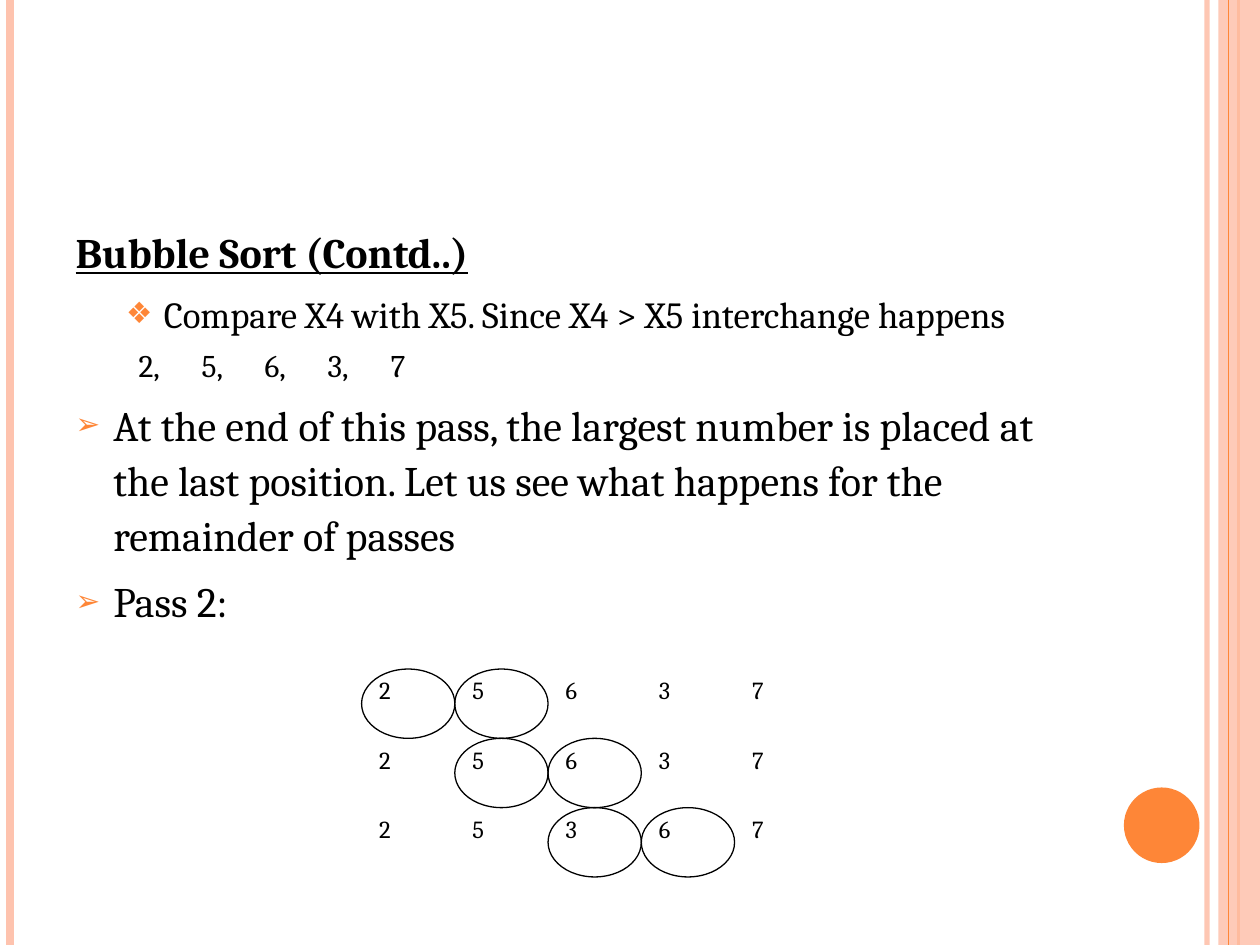
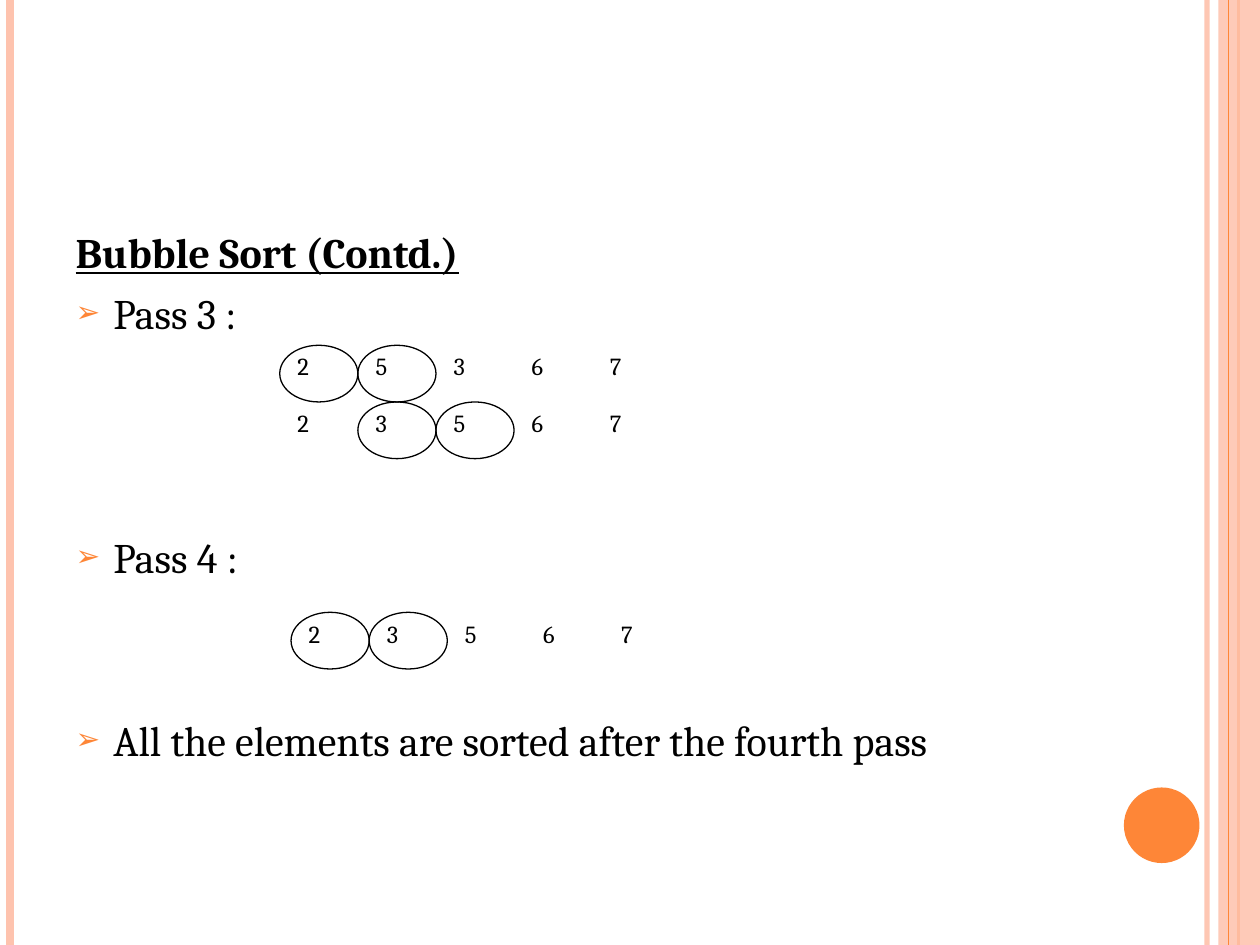
"""Build two slides that walk through the passes of a bubble sort."""
import dataclasses

import lxml.etree
import pptx
import pptx.dml.color
import pptx.enum.shapes
import pptx.enum.text
import pptx.oxml.ns
import pptx.util

Inches, Pt = pptx.util.Inches, pptx.util.Pt
SHAPES = pptx.enum.shapes.MSO_SHAPE


@dataclasses.dataclass(frozen=True)
class Theme:
    """Colours, type sizes and fonts of the deck."""
    ink: str = "000000"
    accent: str = "FE8637"
    pale: str = "FEC3AE"
    font: str = "Cambria"
    heading: int = 24
    cell: int = 14
    outline: float = 0.75


THEME = Theme()
WIDTH, HEIGHT = 10, 7.5
TITLE_BOX = (0.5, 1.75, 8.17, 0.48)
BODY_BOX = (0.5, 2.23, 8.17, 4.85)
CELL_INSET = 0.14

RULES = [
    (9.58, THEME.pale, 3, 93),
    (0.08, THEME.pale, 4.5, 100),
    (9.83, THEME.accent, 1.5, 100),
    (9.75, THEME.accent, 0.75, 100),
]
BAND = (SHAPES.RECTANGLE, (9.67, 0, 0.33, HEIGHT), THEME.pale, 87)
DISC = (SHAPES.OVAL, (8.92, 6.25, 0.6, 0.6), THEME.accent, 100)

STYLES = {
    "point": dict(level=0, size=24, before=6, margin=0.3, hanging=0.3, bullet="➢", bullet_size=70),
    "step": dict(level=1, size=21, before=4.2, margin=0.7, hanging=0.3, bullet="❖", bullet_size=80),
    "values": dict(level=2, size=18, before=3.6, margin=0, hanging=0,
                   tabs=(1.56, 2.05, 2.49, 2.92, 3.42)),
}

SLIDES = [
    {
        "title": "Bubble Sort (Contd..)",
        "line_spacing": 1.1,
        "body": [
            ("step", "Compare X4 with X5. Since X4 > X5 interchange happens", None),
            ("values", "\t2,\t5,\t6,\t3,\t7", None),
            ("point", "At the end of this pass, the largest number is placed at the last "
                      "position. Let us see what happens for the remainder of passes", None),
            ("point", "Pass 2:", None),
        ],
        "passes": [((2.87, 5.31), (0.74, 0.55), ["25637", "25637", "25367"])],
    },
    {
        "title": "Bubble Sort (Contd.)",
        "line_spacing": 1.0,
        "body": [
            ("point", "Pass 3 :", None),
            ("point", "Pass 4 :", 110.7),
            ("point", "All the elements are sorted after the fourth pass", 75.8),
        ],
        "passes": [
            ((2.22, 2.74), (0.62, 0.45), ["25367", "23567"]),
            ((2.31, 4.86), (0.62, 0.45), ["23567"]),
        ],
    },
]


def color(value):
    return pptx.dml.color.RGBColor.from_string(value)


def inches(values):
    return [Inches(value) for value in values]


def add_xml(parent, tag, **attributes):
    element = lxml.etree.SubElement(parent, pptx.oxml.ns.qn(tag))
    for name, value in attributes.items():
        element.set(name, str(value))
    return element


def set_opacity(shape, percent):
    if percent < 100:
        for fill_color in shape.element.spPr.iter(pptx.oxml.ns.qn("a:srgbClr")):
            add_xml(fill_color, "a:alpha", val=percent * 1000)


def format_font(paragraph, size, emphasis=False):
    for run in paragraph.runs:
        font = run.font
        font.name, font.size = THEME.font, Pt(size)
        font.bold = font.underline = emphasis
        font.color.rgb = color(THEME.ink)


def place(shape, box):
    shape.left, shape.top, shape.width, shape.height = inches(box)


def add_rule(slide, x, line_color, width, opacity):
    ends = inches((x, 0, x, HEIGHT))
    rule = slide.shapes.add_connector(pptx.enum.shapes.MSO_CONNECTOR.STRAIGHT, *ends)
    rule.line.color.rgb = color(line_color)
    rule.line.width = Pt(width)
    set_opacity(rule, opacity)
    add_xml(rule.element.spPr, "a:effectLst")
    return rule


def add_filled(slide, kind, box, fill_color, opacity):
    shape = slide.shapes.add_shape(kind, *inches(box))
    shape.shadow.inherit = False
    shape.fill.solid()
    shape.fill.fore_color.rgb = color(fill_color)
    shape.line.fill.background()
    set_opacity(shape, opacity)
    return shape


def decorate_layout(layout, slide):
    """Draw the side rules, band and disc, and hand them to the layout."""
    parts = [add_rule(slide, *rule) for rule in RULES]
    parts.insert(-1, add_filled(slide, *BAND))
    parts.append(add_filled(slide, *DISC))
    for number, part in enumerate(parts, 20):
        part.element.xpath(".//p:cNvPr")[0].set("id", str(number))
        layout.shapes.element.append(part.element)


def format_item(paragraph, style, before, line_spacing):
    paragraph.level = style["level"]
    paragraph.space_before = Pt(before or style["before"])
    paragraph.line_spacing = line_spacing
    format_font(paragraph, style["size"])
    properties = paragraph._p.get_or_add_pPr()
    properties.set("marL", str(Inches(style["margin"])))
    properties.set("indent", str(-Inches(style["hanging"])))
    if "bullet" in style:
        add_xml(add_xml(properties, "a:buClr"), "a:srgbClr", val=THEME.accent)
        add_xml(properties, "a:buSzPct", val=style["bullet_size"] * 1000)
        add_xml(properties, "a:buChar", char=style["bullet"])
    else:
        add_xml(properties, "a:buNone")
        tab_list = add_xml(properties, "a:tabLst")
        for position in style["tabs"]:
            add_xml(tab_list, "a:tab", pos=Inches(position), algn="l")


def fill_text(slide, content):
    title, body = slide.shapes.title.text_frame, slide.placeholders[1].text_frame
    for frame in (title, body):
        frame.auto_size = pptx.enum.text.MSO_AUTO_SIZE.NONE
        frame.vertical_anchor = pptx.enum.text.MSO_ANCHOR.TOP
    title.text = content["title"]
    title.paragraphs[0].alignment = pptx.enum.text.PP_ALIGN.LEFT
    format_font(title.paragraphs[0], THEME.heading, emphasis=True)
    body.text = "\n".join(text for _, text, _ in content["body"])
    for paragraph, (style, _, before) in zip(body.paragraphs, content["body"]):
        format_item(paragraph, STYLES[style], before, content["line_spacing"])


def add_number(group, box, text):
    frame = group.shapes.add_textbox(*inches(box)).text_frame
    frame.word_wrap = True
    frame.margin_left = Inches(CELL_INSET)
    frame.text = text
    format_font(frame.paragraphs[0], THEME.cell)


def add_circle(group, box):
    circle = group.shapes.add_shape(SHAPES.OVAL, *inches(box))
    circle.shadow.inherit = False
    circle.fill.background()
    circle.line.color.rgb = color(THEME.ink)
    circle.line.width = Pt(THEME.outline)


def add_pass(slide, origin, cell, rows):
    """Lay out the rows of one pass, circling the pair compared in each."""
    group = slide.shapes.add_group_shape()

    def cell_box(row, column):
        return (origin[0] + column * cell[0], origin[1] + row * cell[1], *cell)

    for row, digits in enumerate(rows):
        for column, digit in enumerate(digits):
            add_number(group, cell_box(row, column), digit)
    for row in range(len(rows)):
        for column in (row, row + 1):
            add_circle(group, cell_box(row, column))


def main():
    presentation = pptx.Presentation()
    presentation.slide_width, presentation.slide_height = Inches(WIDTH), Inches(HEIGHT)
    layout = presentation.slide_layouts[1]
    for placeholder, box in zip(layout.placeholders, (TITLE_BOX, BODY_BOX)):
        place(placeholder, box)
    slides = [presentation.slides.add_slide(layout) for _ in SLIDES]
    decorate_layout(layout, slides[0])
    for slide, content in zip(slides, SLIDES):
        fill_text(slide, content)
        for sort_pass in content["passes"]:
            add_pass(slide, *sort_pass)
    presentation.save("out.pptx")


if __name__ == "__main__":
    main()
